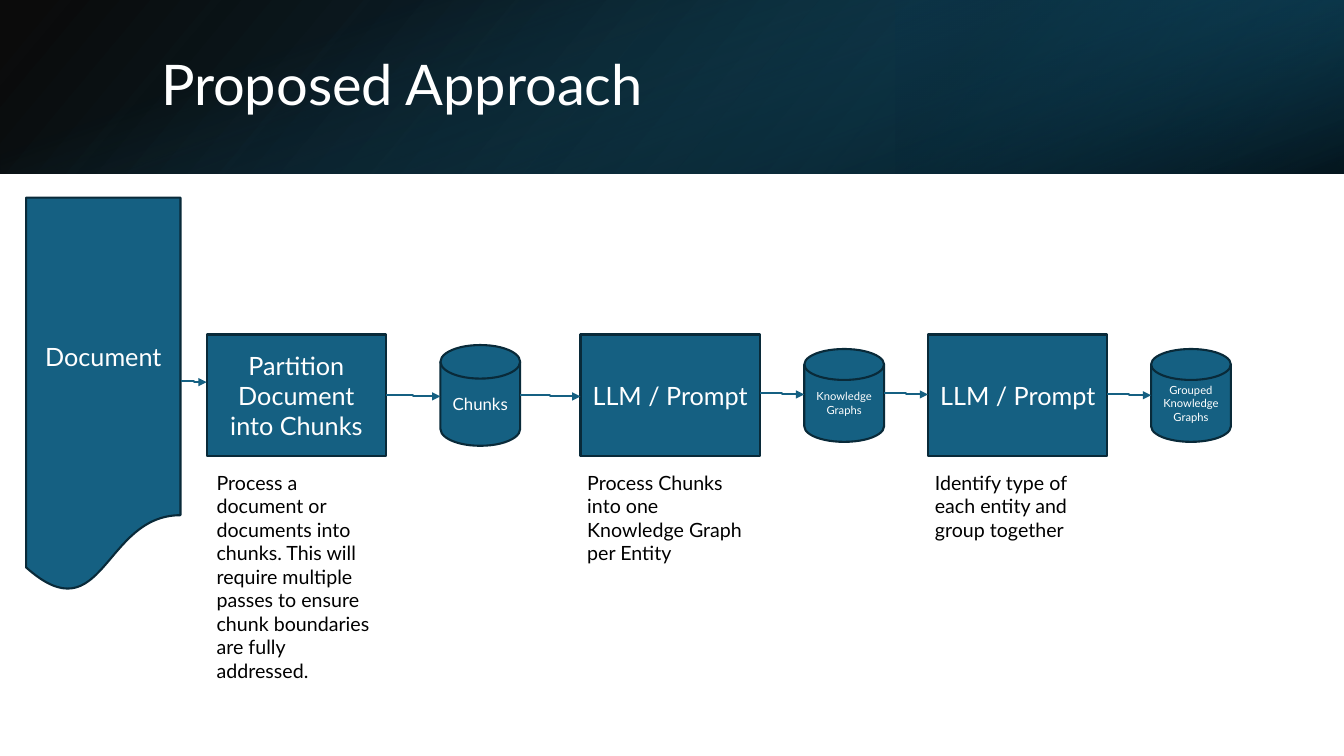
from itertools import pairwise

from lxml.etree import SubElement
from pptx import Presentation
from pptx.dml.color import RGBColor
from pptx.enum.shapes import MSO_CONNECTOR as Link, MSO_SHAPE as Preset
from pptx.enum.text import MSO_ANCHOR as Anchor, PP_ALIGN as Align
from pptx.oxml.ns import qn
from pptx.util import Cm, Pt

WIDTH, HEIGHT, BAND = 33.87, 19.05, 4.38
TEAL, EDGE, WHITE, BLACK = "156082", "092A39", "FFFFFF", "000000"
STEP_TOP, STEP_WIDTH, STEP_HEIGHT = 8.43, 4.52, 3.07
MIDDLE = STEP_TOP + STEP_HEIGHT / 2
CAPTION_TOP, CAPTION_WIDTH = 11.73, 4.6
STORE_WIDTH = 2.01


def colour(code):
    return RGBColor.from_string(code)


def lengths(box):
    return [Cm(value) for value in box]


def write(shape, text, size=18, color=WHITE, align=Align.CENTER,
          anchor=Anchor.MIDDLE, spacing=None):
    frame = shape.text_frame
    frame.word_wrap = True
    frame.vertical_anchor = anchor
    para = frame.paragraphs[0]
    para.alignment = align
    para.line_spacing = spacing
    span = para.add_run()
    span.text = text
    span.font.name = "Lato"
    span.font.size = Pt(size)
    span.font.color.rgb = colour(color)


def add_text(page, box, text, **look):
    write(page.shapes.add_textbox(*lengths(box)), text, align=Align.LEFT, **look)


def add_node(page, preset, box, text, size=18):
    shape = page.shapes.add_shape(preset, *lengths(box))
    shape.shadow.inherit = False
    shape.fill.solid()
    shape.fill.fore_color.rgb = colour(TEAL)
    shape.line.color.rgb = colour(EDGE)
    shape.line.width = Pt(1.5)
    write(shape, text, size)
    return shape


def add_gradient(page, box, stops, angle, rotation=0, flip=False):
    shape = page.shapes.add_shape(Preset.RECTANGLE, *lengths(box))
    shape.shadow.inherit = False
    shape.line.fill.background()
    shape.rotation = rotation
    properties = shape._element.spPr
    if flip:
        properties.find(qn("a:xfrm")).set("flipH", "1")
    shape.fill.gradient()
    shape.fill.gradient_angle = 360 - angle
    for stop, (position, code, _) in zip(shape.fill.gradient_stops, stops):
        stop.position = position / 100
        stop.color.rgb = colour(code)
    for tone, (_, _, opacity) in zip(properties.iter(qn("a:srgbClr")), stops):
        SubElement(tone, qn("a:alpha")).set("val", str(opacity * 1000))


def add_header(page, box):
    left, top, width, height = box
    add_gradient(page, box, [(0, BLACK, 96), (100, "104862", 100)], 140, flip=True)
    add_gradient(page, (left + width * 2 / 3, top, width / 3, height),
                 [(19, "0B3041", 68), (100, TEAL, 79)], 320, 180, True)
    turn = (width - height) / 2
    add_gradient(page, (left + turn, top - turn, height, width),
                 [(23, TEAL, 0), (99, BLACK, 74)], 340, 90)
    add_text(page, (left + 3.81, top + 0.97, 27.89, 2.44), "Proposed Approach",
             size=40, spacing=0.9)


def add_step(page, left, text, caption, shift, caption_height):
    add_text(page, (left + shift, CAPTION_TOP, CAPTION_WIDTH, caption_height), caption,
             size=14, color=BLACK, anchor=Anchor.TOP)
    box = left, STEP_TOP, STEP_WIDTH, STEP_HEIGHT
    return add_node(page, Preset.RECTANGLE, box, text)


def add_store(page, left, height, text, size):
    box = left, MIDDLE - height / 2, STORE_WIDTH, height
    return add_node(page, Preset.FLOWCHART_MAGNETIC_DISK, box, text, size)


def add_arrow(page, source, target, height):
    arrow = page.shapes.add_connector(
        Link.ELBOW, source.left + source.width, Cm(height),
        target.left, Cm(height + 0.03))
    arrow.line.color.rgb = colour(TEAL)
    arrow.line.width = Pt(1.5)
    SubElement(arrow.line._get_or_add_ln(), qn("a:tailEnd")).set("type", "triangle")
    SubElement(arrow._element.spPr, qn("a:effectLst"))


def add_flow(page):
    stages = [
        add_node(page, Preset.FLOWCHART_DOCUMENT, (0.66, 4.98, 3.89, 9.98), "Document"),
        add_step(page, 5.21, "Partition Document into Chunks",
                 "Process a document or documents into chunks. This will require "
                 "multiple passes to ensure chunk boundaries are fully addressed.",
                 0, 5.64),
        add_store(page, 11.1, 2.54, "Chunks", 12),
        add_step(page, 14.63, "LLM / Prompt",
                 "Process Chunks into one Knowledge Graph per Entity", -0.08, 2.64),
        add_store(page, 20.27, 2.34, "Knowledge Graphs", 8),
        add_step(page, 23.39, "LLM / Prompt",
                 "Identify type of each entity and group together", -0.08, 2.06),
        add_store(page, 29.01, 2.34, "Grouped Knowledge Graphs", 8),
    ]
    arrow_heights = 9.6, 9.96, 9.96, 9.91, 9.91, 9.93
    for (source, target), height in zip(pairwise(stages), arrow_heights):
        add_arrow(page, source, target, height)


def main():
    deck = Presentation()
    deck.slide_width, deck.slide_height = Cm(WIDTH), Cm(HEIGHT)
    page = deck.slides.add_slide(deck.slide_layouts[6])
    add_header(page, (0, 0, WIDTH, BAND))
    add_flow(page)
    deck.save("out.pptx")


if __name__ == "__main__":
    main()
